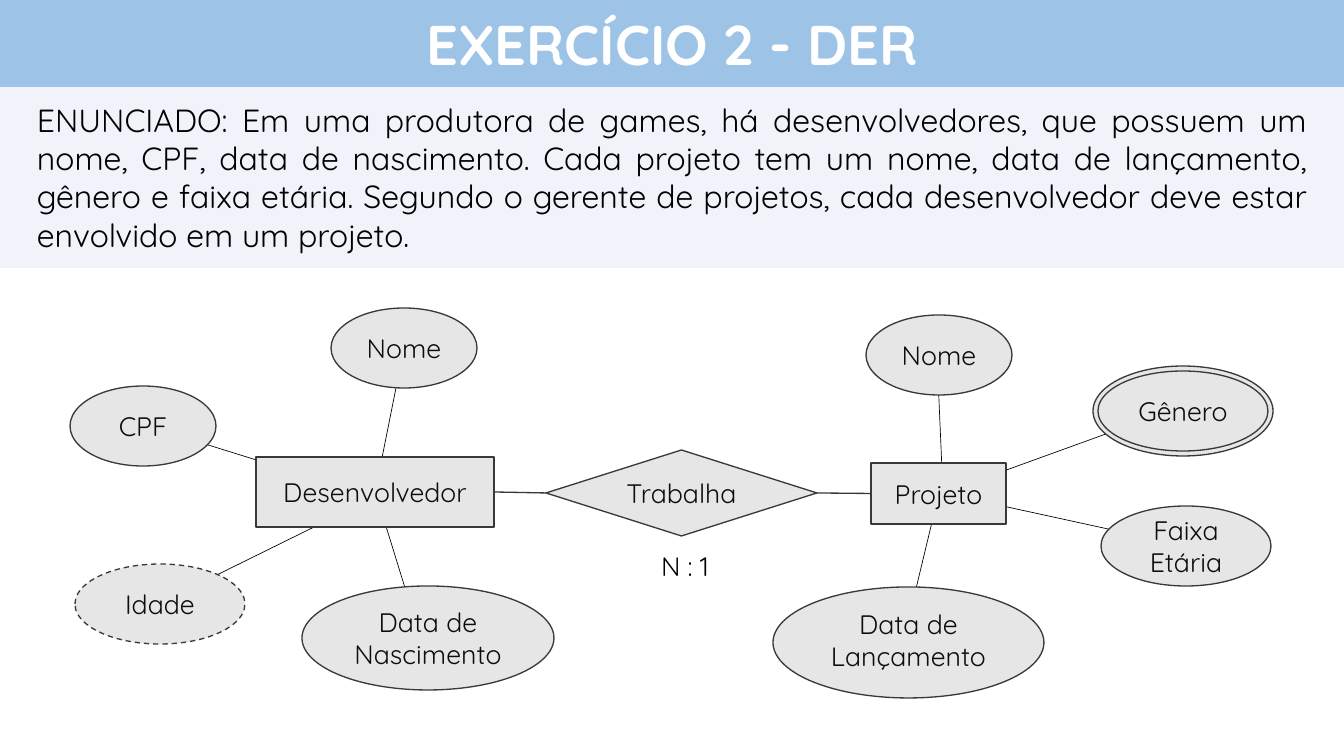
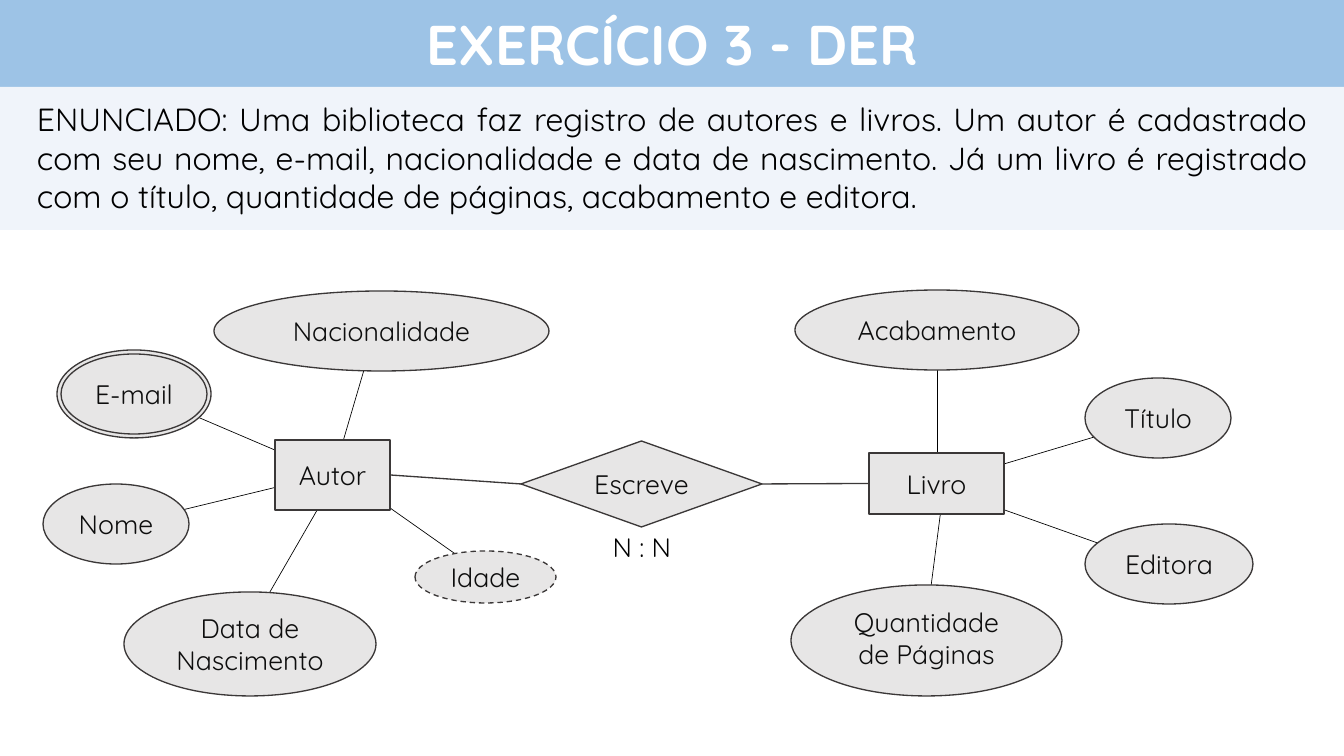
from dataclasses import dataclass

from lxml.etree import SubElement
from pptx import Presentation
from pptx.dml.color import RGBColor
from pptx.enum.dml import MSO_LINE_DASH_STYLE as Dash
from pptx.enum.shapes import MSO_CONNECTOR_TYPE as ConnectorType
from pptx.enum.shapes import MSO_SHAPE as ShapeType
from pptx.enum.text import MSO_ANCHOR as Anchor
from pptx.enum.text import MSO_AUTO_SIZE as AutoSize
from pptx.enum.text import PP_ALIGN as Align
from pptx.oxml.ns import qn
from pptx.util import Pt

EMU_PER_PX = 9525
SLIDE_WIDTH, SLIDE_HEIGHT = 1344, 756
BAND_HEIGHT = 87
TITLE_ONLY_LAYOUT = 5
LEFT_SIDE, RIGHT_SIDE = 1, 3
FONT = "Quicksand"
COLORS = {
    "band": "9DC3E6",
    "statement": "F0F4FA",
    "node": "E7E6E6",
    "outline": "3B3838",
    "node_text": "0D0D0D",
    "black": "000000",
    "white": "FFFFFF",
}
DEFAULT_INSETS = (10, 5, 10, 5)
RAISED_INSETS = (10, 0, 10, 5)
STATEMENT_INSETS = (37, 13, 37, 13)


@dataclass(frozen=True)
class Box:
    left: int
    top: int
    width: int = 146
    height: int = 80

    def grown(self, gap: int) -> "Box":
        return Box(self.left - gap, self.top - gap,
                   self.width + 2 * gap, self.height + 2 * gap)

    def emu(self) -> list[int]:
        return [px(n) for n in (self.left, self.top, self.width, self.height)]


@dataclass(frozen=True)
class Node:
    text: str
    box: Box


@dataclass(frozen=True)
class Attribute:
    """An oval; ring_gap marks a multivalued one, dashed a derived one."""
    text: str
    box: Box
    link_start: tuple[int, int]
    link_end: tuple[int, int]
    ring_gap: int = 0
    dashed: bool = False
    insets: tuple[int, int, int, int] = DEFAULT_INSETS


@dataclass(frozen=True)
class Exercise:
    title: str
    statement: str
    statement_height: int
    entities: tuple[Node, Node]
    relationship: Node
    cardinality: Node
    attributes: list[Attribute]


EXERCISES = [
    Exercise(
        "EXERCÍCIO 2 - DER",
        "ENUNCIADO: Em uma produtora de games, há desenvolvedores, que possuem um "
        "nome, CPF, data de nascimento. Cada projeto tem um nome, data de lançamento, "
        "gênero e faixa etária. Segundo o gerente de projetos, cada desenvolvedor "
        "deve estar envolvido em um projeto.",
        181,
        (Node("Desenvolvedor", Box(256, 457, 238, 70)),
         Node("Projeto", Box(871, 463, 135, 61))),
        Node("Trabalha", Box(546, 450, 271, 86)),
        Node("N : 1", Box(633, 545, 104, 42)),
        [
            Attribute("Nome", Box(331, 308), (404, 348), (375, 493)),
            Attribute("CPF", Box(70, 386), (144, 425), (375, 497)),
            Attribute("Idade", Box(75, 564, 170), (158, 604), (375, 497), dashed=True),
            Attribute("Data de Nascimento", Box(302, 586, 252, 104),
                      (426, 656), (377, 497)),
            Attribute("Nome", Box(866, 315), (937, 354), (943, 493)),
            Attribute("Gênero", Box(1098, 371, 170), (1186, 405), (943, 493),
                      ring_gap=5),
            Attribute("Faixa Etária", Box(1101, 506, 170), (1186, 546), (943, 493)),
            Attribute("Data de Lançamento", Box(773, 587, 271, 111),
                      (903, 643), (939, 493), insets=RAISED_INSETS),
        ],
    ),
    Exercise(
        "EXERCÍCIO 3 - DER",
        "ENUNCIADO: Uma biblioteca faz registro de autores e livros. Um autor é "
        "cadastrado com seu nome, e-mail, nacionalidade e data de nascimento. Já um "
        "livro é registrado com o título, quantidade de páginas, acabamento e editora.",
        143,
        (Node("Autor", Box(275, 440, 115, 70)),
         Node("Livro", Box(869, 453, 135, 61))),
        Node("Escreve", Box(521, 441, 241, 86)),
        Node("N : N", Box(590, 526, 104, 42)),
        [
            Attribute("Nacionalidade", Box(214, 291, 335), (381, 312), (332, 479)),
            Attribute("E-mail", Box(61, 354), (132, 389), (331, 474), ring_gap=4),
            Attribute("Nome", Box(43, 484), (116, 526), (339, 472)),
            Attribute("Data de Nascimento", Box(124, 592, 252, 104),
                      (244, 637), (338, 474)),
            Attribute("Idade", Box(415, 551, 141, 52), (488, 577), (339, 472),
                      dashed=True),
            Attribute("Acabamento", Box(795, 290, 284), (937, 312), (937, 486)),
            Attribute("Título", Box(1085, 378), (1158, 418), (937, 484)),
            Attribute("Editora", Box(1085, 524, 168), (1168, 568), (937, 486)),
            Attribute("Quantidade de Páginas", Box(791, 585, 271, 111),
                      (920, 672), (944, 486), insets=RAISED_INSETS),
        ],
    ),
]


def px(length: int) -> int:
    return length * EMU_PER_PX


def rgb(name: str) -> RGBColor:
    return RGBColor.from_string(COLORS[name])


def write_text(shape, text: str, *, size: int = 20, color: str = "node_text",
               bold: bool = False, align=Align.CENTER, anchor=Anchor.MIDDLE,
               insets=DEFAULT_INSETS, auto_size=AutoSize.NONE,
               space_after: float = 0) -> None:
    frame = shape.text_frame
    frame.word_wrap = True
    frame.auto_size = auto_size
    frame.vertical_anchor = anchor
    (frame.margin_left, frame.margin_top,
     frame.margin_right, frame.margin_bottom) = map(px, insets)
    paragraph = frame.paragraphs[0]
    paragraph.alignment = align
    paragraph.space_after = Pt(space_after)
    run = paragraph.add_run()
    run.text = text
    run.font.name = FONT
    run.font.size = Pt(size)
    run.font.bold = bold
    run.font.color.rgb = rgb(color)


def paint(shape, fill: str) -> None:
    shape.fill.solid()
    shape.fill.fore_color.rgb = rgb(fill)


def add_node(slide, kind, box: Box, *, dashed: bool = False):
    """Add a grey, outlined diagram shape without text."""
    shape = slide.shapes.add_shape(kind, *box.emu())
    shape.shadow.inherit = False
    paint(shape, "node")
    shape.line.color.rgb = rgb("outline")
    shape.line.width = Pt(1)
    if dashed:
        shape.line.dash_style = Dash.DASH
    return shape


def add_labelled_node(slide, kind, node: Node):
    shape = add_node(slide, kind, node.box)
    write_text(shape, node.text)
    return shape


def add_line(slide, start=(0, 0), end=(0, 0), *, color: str = "black",
             width: float = 0.5):
    connector = slide.shapes.add_connector(
        ConnectorType.STRAIGHT, *map(px, (*start, *end)))
    connector.line.color.rgb = rgb(color)
    connector.line.width = Pt(width)
    SubElement(connector.element.spPr, qn("a:effectLst"))
    return connector


def join(slide, left_shape, right_shape) -> None:
    connector = add_line(slide, color="outline", width=1)
    connector.begin_connect(left_shape, RIGHT_SIDE)
    connector.end_connect(right_shape, LEFT_SIDE)


def add_attribute(slide, attribute: Attribute) -> None:
    if attribute.ring_gap:
        add_node(slide, ShapeType.OVAL, attribute.box.grown(attribute.ring_gap))
    oval = add_node(slide, ShapeType.OVAL, attribute.box, dashed=attribute.dashed)
    write_text(oval, attribute.text, insets=attribute.insets)


def add_header(slide, exercise: Exercise) -> None:
    title = slide.shapes.title
    title.left, title.top, title.width, title.height = Box(
        0, 0, SLIDE_WIDTH, BAND_HEIGHT).emu()
    paint(title, "band")
    write_text(title, exercise.title, size=42, color="white", bold=True)

    box = Box(0, BAND_HEIGHT, SLIDE_WIDTH, exercise.statement_height)
    statement = slide.shapes.add_shape(ShapeType.RECTANGLE, *box.emu())
    statement.shadow.inherit = False
    paint(statement, "statement")
    statement.line.fill.background()
    write_text(statement, exercise.statement, size=24, color="black",
               align=Align.JUSTIFY, anchor=Anchor.TOP, insets=STATEMENT_INSETS,
               auto_size=AutoSize.SHAPE_TO_FIT_TEXT, space_after=16.8)


def add_diagram(slide, exercise: Exercise) -> None:
    for attribute in exercise.attributes:
        add_line(slide, attribute.link_start, attribute.link_end)
    left_entity, right_entity = [
        add_labelled_node(slide, ShapeType.RECTANGLE, entity)
        for entity in exercise.entities]
    relationship = add_labelled_node(
        slide, ShapeType.FLOWCHART_DECISION, exercise.relationship)
    join(slide, left_entity, relationship)
    join(slide, relationship, right_entity)
    for attribute in exercise.attributes:
        add_attribute(slide, attribute)
    cardinality = slide.shapes.add_textbox(*exercise.cardinality.box.emu())
    write_text(cardinality, exercise.cardinality.text, color="black",
               anchor=Anchor.TOP, auto_size=AutoSize.SHAPE_TO_FIT_TEXT)


def main() -> None:
    presentation = Presentation()
    presentation.slide_width = px(SLIDE_WIDTH)
    presentation.slide_height = px(SLIDE_HEIGHT)
    layout = presentation.slide_layouts[TITLE_ONLY_LAYOUT]
    for exercise in EXERCISES:
        slide = presentation.slides.add_slide(layout)
        add_header(slide, exercise)
        add_diagram(slide, exercise)
    presentation.save("out.pptx")


if __name__ == "__main__":
    main()
